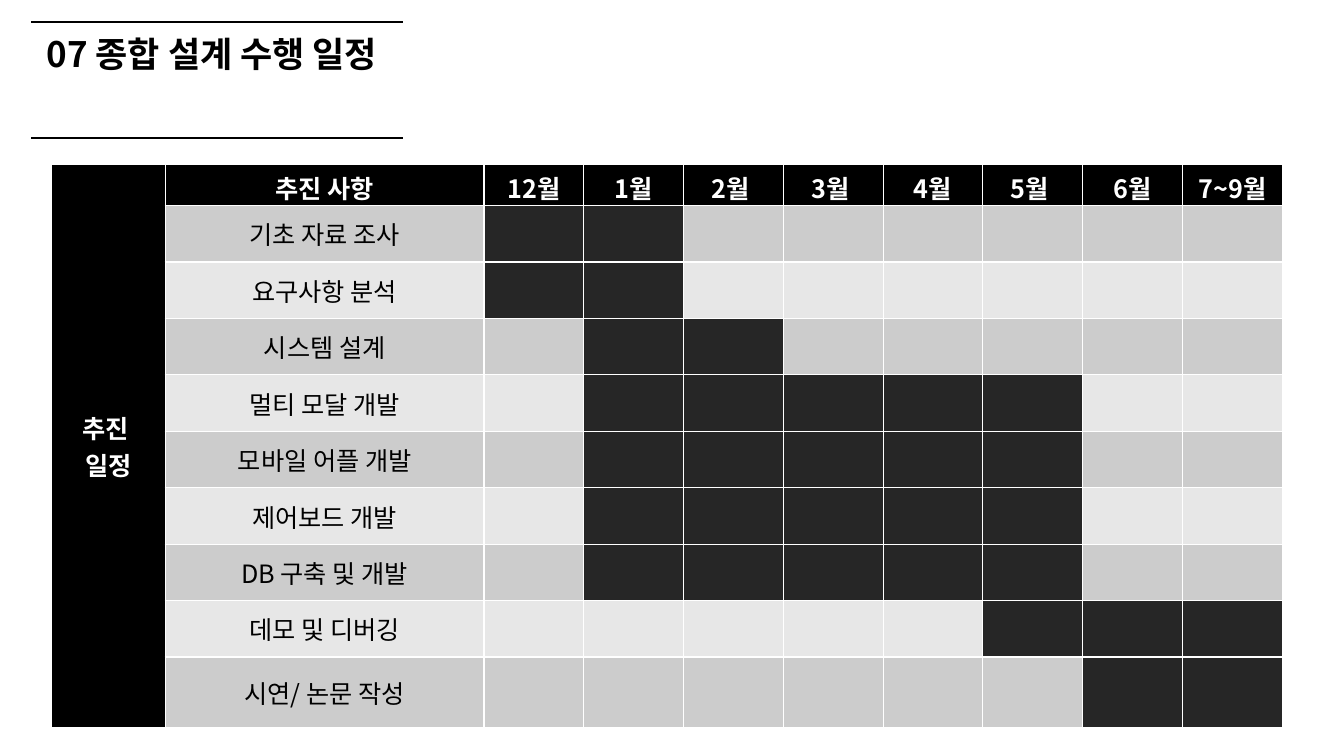
from lxml.etree import SubElement
from pptx import Presentation
from pptx.dml.color import RGBColor
from pptx.enum.shapes import MSO_CONNECTOR as Connector
from pptx.enum.text import MSO_ANCHOR as Anchor, PP_ALIGN as Align
from pptx.oxml.ns import qn
from pptx.util import Inches, Pt

BLACK = RGBColor(0x00, 0x00, 0x00)
WHITE = RGBColor(0xFF, 0xFF, 0xFF)
ACTIVE = RGBColor(0x26, 0x26, 0x26)
BANDS = (RGBColor(0xCC, 0xCC, 0xCC), RGBColor(0xE7, 0xE7, 0xE7))
FONT = "Noto Sans CJK KR"

HEADERS = ["추진 사항", "12월", "1월", "2월 ", "3월 ", "4월", "5월 ", "6월", "7~9월"]
# Task, first and last active month (0 = December)
TASKS = [
    ("기초 자료 조사", 0, 1),
    ("요구사항 분석", 0, 1),
    ("시스템 설계", 1, 2),
    ("멀티 모달 개발", 1, 5),
    ("모바일 어플 개발", 1, 5),
    ("제어보드 개발", 1, 5),
    ("DB 구축 및 개발", 1, 5),
    ("데모 및 디버깅", 5, 7),
    ("시연/ 논문 작성", 6, 7),
]
COLUMN_WIDTHS = [1.13, 3.16] + [0.99] * 8
ROW_HEIGHTS = [0.41] + [0.56] * 8 + [0.7]


def write(text_frame, lines, size, color, bold):
    for index, line in enumerate(lines):
        paragraph = text_frame.paragraphs[0] if index == 0 else text_frame.add_paragraph()
        paragraph.alignment = Align.CENTER
        run = paragraph.add_run()
        run.text = line
        font = run.font
        font.name, font.size, font.bold = FONT, Pt(size), bold
        font.color.rgb = color
        SubElement(run._r.get_or_add_rPr(), qn("a:ea"), typeface=FONT)


def add_title(slide, text):
    box = slide.shapes.add_textbox(Inches(0.2), Inches(0.27), Inches(3.8), Inches(0.52))
    box.text_frame.word_wrap = False
    write(box.text_frame, [text], 25, BLACK, True)


def add_rule(slide, top):
    rule = slide.shapes.add_connector(
        Connector.STRAIGHT, Inches(0.31), Inches(top), Inches(4), Inches(top))
    rule.line.color.rgb = BLACK
    rule.line.width = Pt(1.5)
    SubElement(rule._element.spPr, qn("a:effectLst"))


def style_cell(cell, fill):
    # Borders come before the fill in the cell properties
    properties = cell._tc.get_or_add_tcPr()
    for side in ("a:lnL", "a:lnR", "a:lnT", "a:lnB"):
        border = SubElement(properties, qn(side), w=str(Pt(1)))
        solid = SubElement(border, qn("a:solidFill"))
        SubElement(solid, qn("a:srgbClr"), val=str(WHITE))
    cell.fill.solid()
    cell.fill.fore_color.rgb = fill
    cell.vertical_anchor = Anchor.MIDDLE


def add_schedule(slide):
    table = slide.shapes.add_table(
        len(ROW_HEIGHTS), len(COLUMN_WIDTHS), Inches(0.51), Inches(1.63),
        Inches(sum(COLUMN_WIDTHS)), Inches(sum(ROW_HEIGHTS))).table
    for column, width in zip(table.columns, COLUMN_WIDTHS):
        column.width = Inches(width)
    for row, height in zip(table.rows, ROW_HEIGHTS):
        row.height = Inches(height)

    # Side label and header row
    for row in range(len(ROW_HEIGHTS)):
        style_cell(table.cell(row, 0), BLACK)
    table.cell(0, 0).merge(table.cell(len(TASKS), 0))
    write(table.cell(0, 0).text_frame, ["추진 ", "일정"], 18, WHITE, True)
    for column, header in enumerate(HEADERS, start=1):
        style_cell(table.cell(0, column), BLACK)
        write(table.cell(0, column).text_frame, [header], 18, WHITE, True)

    # Task rows with their active months
    for row, (task, first, last) in enumerate(TASKS, start=1):
        band = BANDS[(row - 1) % 2]
        style_cell(table.cell(row, 1), band)
        write(table.cell(row, 1).text_frame, [task], 18, BLACK, False)
        for month in range(len(HEADERS) - 1):
            style_cell(table.cell(row, month + 2), ACTIVE if first <= month <= last else band)


def main():
    presentation = Presentation()
    presentation.slide_width = Inches(13.33)
    presentation.slide_height = Inches(7.5)
    slide = presentation.slides.add_slide(presentation.slide_layouts[6])
    add_title(slide, "07 종합 설계 수행 일정")
    for top in (0.22, 1.37):
        add_rule(slide, top)
    add_schedule(slide)
    presentation.save("out.pptx")


if __name__ == "__main__":
    main()
